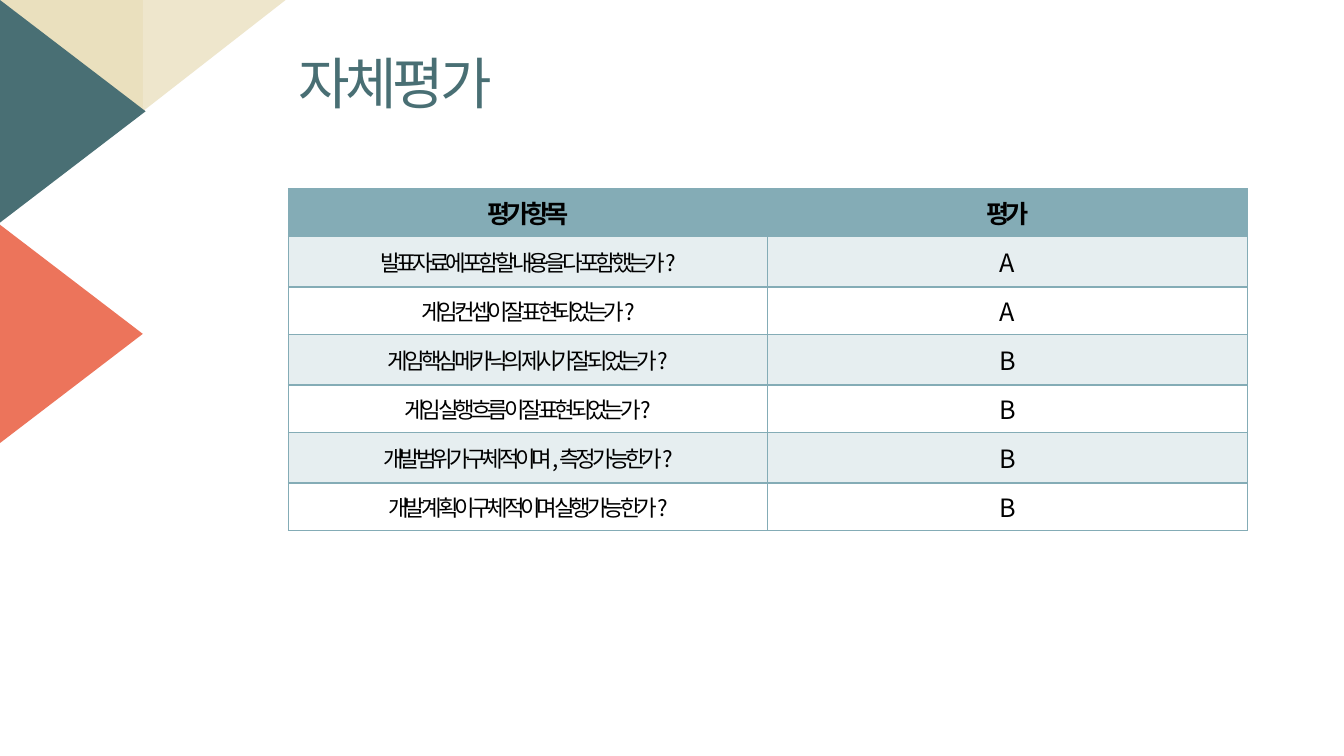
from dataclasses import dataclass

from lxml import etree
from pptx import Presentation
from pptx.dml.color import RGBColor
from pptx.enum.shapes import MSO_SHAPE
from pptx.enum.text import MSO_ANCHOR, PP_ALIGN
from pptx.oxml.ns import qn
from pptx.util import Pt

RIGHT_TRIANGLE = MSO_SHAPE.RIGHT_TRIANGLE
TRIANGLE = MSO_SHAPE.ISOSCELES_TRIANGLE
MIDDLE = MSO_ANCHOR.MIDDLE
LEFT, CENTER = PP_ALIGN.LEFT, PP_ALIGN.CENTER


@dataclass(frozen=True)
class Theme:
    sand: str = "EAE0BE"
    pale_sand: str = "EEE6CC"
    teal: str = "496F74"
    coral: str = "EC745B"
    blue: str = "84ACB6"
    black: str = "000000"
    title_font: str = "Noto Sans CJK TC"
    table_font: str = "Noto Sans CJK KR"
    title_size: int = 40
    grade_size: int = 18
    question_size: int = 16
    tracking: int = -300
    band_alpha: int = 20000


THEME = Theme()
HEADINGS = ("평가 항목", "평가")
EVALUATIONS = (
    ("발표자료에 포함할 내용을 다 포함했는가?", "A"),
    ("게임 컨셉이 잘 표현되었는가?", "A"),
    ("게임 핵심 메카닉의 제시가 잘 되었는가?", "B"),
    ("게임 실행 흐름이 잘 표현되었는가?", "B"),
    ("개발 범위가 구체적이며, 측정 가능한가?", "B"),
    ("개발 계획이 구체적이며 실행 가능한가?", "B"),
)


def write(frame, text, *, size, font, color, bold=False, align=CENTER):
    paragraph = frame.paragraphs[0]
    paragraph.alignment = align
    run = paragraph.add_run()
    run.text = text
    run.font.size = Pt(size)
    run.font.bold = bold
    run.font.name = font
    run.font.color.rgb = RGBColor.from_string(color)
    properties = run.font._element
    properties.set("spc", str(THEME.tracking))
    etree.SubElement(properties, qn("a:ea")).set("typeface", font)
    return paragraph


def add_triangle(slide, kind, left, top, width, height, color, rotation):
    across, down = (height, width) if rotation == 90 else (width, height)
    triangle = slide.shapes.add_shape(
        kind, Pt(left + (width - across) / 2), Pt(top + (height - down) / 2),
        Pt(across), Pt(down))
    triangle.rotation = rotation
    triangle.shadow.inherit = False
    triangle.fill.solid()
    triangle.fill.fore_color.rgb = RGBColor.from_string(color)
    triangle.line.fill.background()


def add_corner(slide, left, top, width, height):
    half, sand_height, side_height = width / 2, height / 4, height / 2
    add_triangle(slide, RIGHT_TRIANGLE, left, top, half, sand_height, THEME.sand, 180)
    add_triangle(slide, RIGHT_TRIANGLE, left + half, top, half, sand_height,
                 THEME.pale_sand, 90)
    add_triangle(slide, TRIANGLE, left, top, half + 2, side_height, THEME.teal, 90)
    add_triangle(slide, TRIANGLE, left - 2, top + side_height, half + 2, side_height,
                 THEME.coral, 90)


def add_title(slide, left, top, width, height):
    title = slide.shapes.title
    title.left, title.top = Pt(left), Pt(top)
    title.width, title.height = Pt(width), Pt(height)
    title.text_frame.vertical_anchor = MIDDLE
    paragraph = write(title.text_frame, "자체평가", size=THEME.title_size,
                      font=THEME.title_font, color=THEME.teal, align=LEFT)
    paragraph.line_spacing = 0.9


def add_borders(cell, color, width):
    properties = cell._tc.get_or_add_tcPr()
    for position, edge in enumerate(("a:lnL", "a:lnR", "a:lnT", "a:lnB")):
        line = etree.Element(qn(edge), w=str(Pt(width)))
        fill = etree.SubElement(line, qn("a:solidFill"))
        etree.SubElement(fill, qn("a:srgbClr"), val=color)
        properties.insert(position, line)


def fill_cell(cell, row):
    if row and row % 2 == 0:
        cell.fill.background()
        return
    cell.fill.solid()
    cell.fill.fore_color.rgb = RGBColor.from_string(THEME.blue)
    if row:
        color = cell._tc.tcPr.find(qn("a:solidFill")).find(qn("a:srgbClr"))
        etree.SubElement(color, qn("a:alpha"), val=str(THEME.band_alpha))


def add_evaluation_table(slide, left, top, width, height):
    entries = (HEADINGS, *EVALUATIONS)
    table = slide.shapes.add_table(len(entries), len(HEADINGS), Pt(left), Pt(top),
                                   Pt(width), Pt(height)).table
    table.horz_banding = False
    for row, entry in enumerate(entries):
        table.rows[row].height = Pt(36 if row % 2 else 34)
        for column, text in enumerate(entry):
            cell = table.cell(row, column)
            is_question = row > 0 and column == 0
            cell.vertical_anchor = MIDDLE
            write(cell.text_frame, text, font=THEME.table_font, color=THEME.black,
                  size=THEME.question_size if is_question else THEME.grade_size,
                  bold=row == 0)
            fill_cell(cell, row)
            add_borders(cell, THEME.blue, 1)


def main():
    deck = Presentation()
    deck.slide_width, deck.slide_height = Pt(960), Pt(540)
    slide = deck.slides.add_slide(deck.slide_layouts[5])
    add_corner(slide, 0, 0, 204, 318)
    add_title(slide, 206, 34, 229, 55)
    add_evaluation_table(slide, 206, 135, 685, 244)
    deck.save("out.pptx")


if __name__ == "__main__":
    main()
